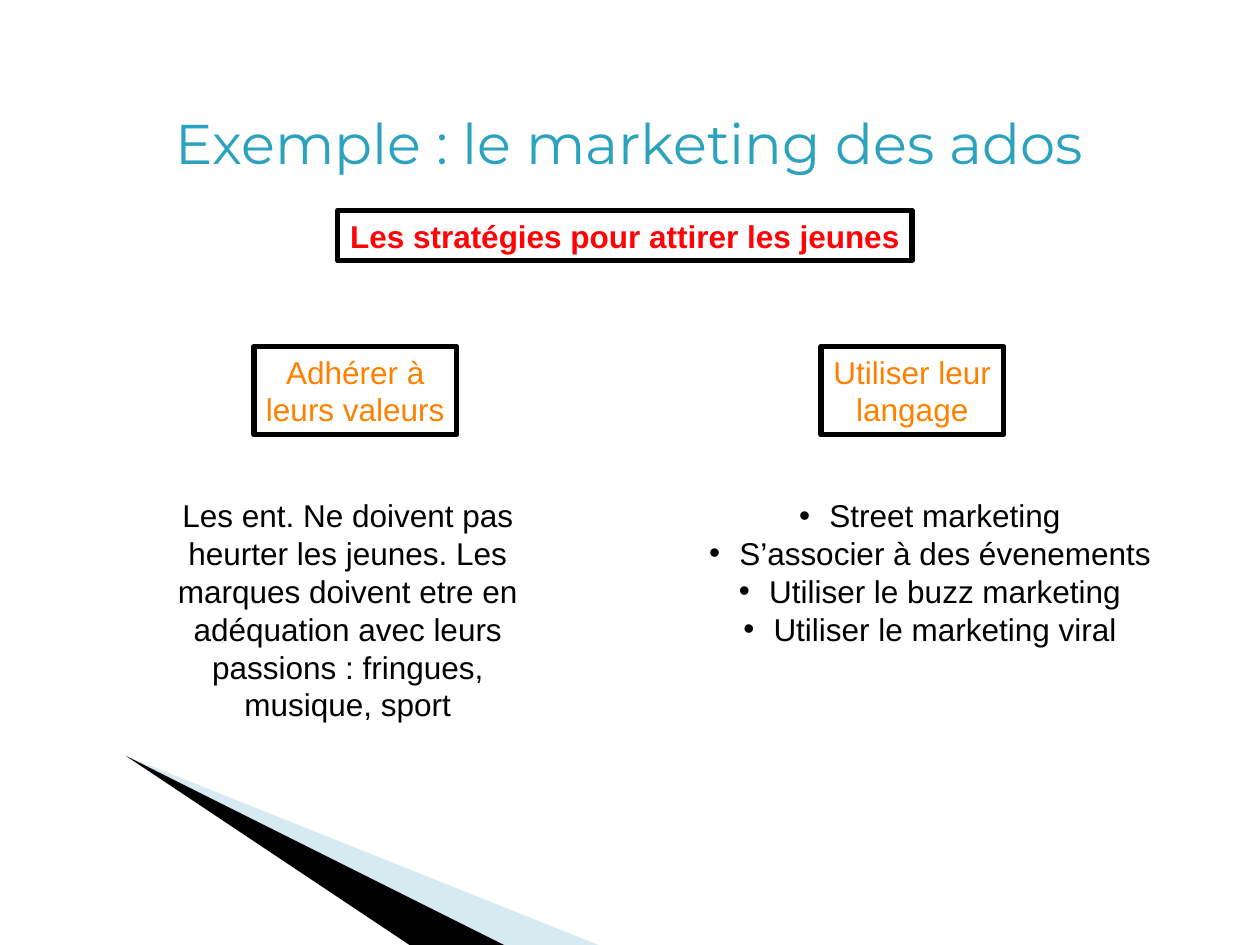
from dataclasses import dataclass

from lxml.etree import SubElement
from pptx import Presentation
from pptx.dml.color import RGBColor as RGB
from pptx.enum.shapes import MSO_SHAPE as Shape
from pptx.enum.text import MSO_ANCHOR as Anchor, PP_ALIGN as Align
from pptx.oxml.ns import qn
from pptx.util import Inches, Pt


@dataclass(frozen=True)
class Theme:
    title_font: str = "Montserrat"
    body_font: str = "Arial"
    title_size: int = 32
    body_size: int = 18
    border: int = 3
    teal: str = "2DA2BF"
    red: str = "FF0306"
    orange: str = "FF8000"
    black: str = "000000"
    pale: str = "9FCBDC"
    pale_alpha: int = 40


THEME = Theme()
WIDTH, HEIGHT = 10, 7.5

# Content
TITLE = "Exemple : le marketing des ados"
STRATEGY = ["Les stratégies pour attirer les jeunes"]
BRANCHES = [
    dict(heading=["Adhérer à", "leurs valeurs"], heading_center=2.82, heading_width=1.61,
         detail=["Les ent. Ne doivent pas heurter les jeunes. Les marques doivent "
                 "etre en adéquation avec leurs passions : fringues, musique, sport"],
         detail_center=2.76, detail_width=3.14, detail_lines=6, bulleted=False),
    dict(heading=["Utiliser leur", "langage"], heading_center=7.24, heading_width=1.45,
         detail=["Street marketing", "S’associer à des évenements",
                 "Utiliser le buzz marketing", "Utiliser le marketing viral"],
         detail_center=7.38, detail_width=4.25, detail_lines=4, bulleted=True),
]
# Corner wedges: shared tip, then where each meets the bottom edge
WEDGE_TIP = (0.53, 6.49)
WEDGES = [(4.52, 5.9, THEME.pale, THEME.pale_alpha), (3.67, 4.52, THEME.black, 100)]

# Rows
STRATEGY_TOP, HEADING_TOP, DETAIL_TOP = 1.67, 2.75, 3.89
LINE_HEIGHT, PADDING, BULLET_INDENT = 0.3, 0.1, 0.24


def add_wedge(slide, left, right, color, alpha):
    builder = slide.shapes.build_freeform(*WEDGE_TIP, scale=Inches(1))
    builder.add_line_segments([(right, HEIGHT), (left, HEIGHT)], close=True)
    wedge = builder.convert_to_shape()
    wedge.shadow.inherit = False
    wedge.line.fill.background()
    wedge.fill.solid()
    wedge.fill.fore_color.rgb = RGB.from_string(color)
    if alpha < 100:
        tint = wedge.fill._xPr.find(qn("a:solidFill"))[0]
        SubElement(tint, qn("a:alpha"), val=str(alpha * 1000))


def add_bullet(paragraph):
    props = paragraph._p.get_or_add_pPr()
    props.set("marL", str(Inches(BULLET_INDENT)))
    props.set("indent", str(-Inches(BULLET_INDENT)))
    SubElement(props, qn("a:buFont"), typeface=THEME.body_font)
    SubElement(props, qn("a:buChar"), char="•")


def write(frame, lines, color, font=THEME.body_font, size=THEME.body_size,
          bold=False, bulleted=False, anchor=Anchor.TOP, wrap=True):
    frame.word_wrap = wrap
    frame.vertical_anchor = anchor
    for i, line in enumerate(lines):
        paragraph = frame.paragraphs[0] if i == 0 else frame.add_paragraph()
        paragraph.text = line
        paragraph.alignment = Align.CENTER
        if bulleted:
            add_bullet(paragraph)
        paragraph.font.name, paragraph.font.size = font, Pt(size)
        paragraph.font.bold = bold
        paragraph.font.color.rgb = RGB.from_string(color)


def centered(center, top, width, lines):
    """Left, top, width and height of a block holding a number of lines."""
    return [Inches(v) for v in (center - width / 2, top, width, lines * LINE_HEIGHT + PADDING)]


def add_framed(slide, center, top, width, lines, color, bold=False):
    box = slide.shapes.add_shape(Shape.RECTANGLE, *centered(center, top, width, len(lines)))
    box.shadow.inherit = False
    box.fill.background()
    box.line.color.rgb = RGB.from_string(THEME.black)
    box.line.width = Pt(THEME.border)
    write(box.text_frame, lines, color, bold=bold, wrap=False)


def main():
    deck = Presentation()
    deck.slide_width, deck.slide_height = Inches(WIDTH), Inches(HEIGHT)
    slide = deck.slides.add_slide(deck.slide_layouts[6])

    # Corner decoration
    for wedge in WEDGES:
        add_wedge(slide, *wedge)

    # Title and main strategy
    title = slide.shapes.add_textbox(Inches(0.5), Inches(0.5), Inches(WIDTH - 1), Inches(1.25))
    write(title.text_frame, [TITLE], THEME.teal, THEME.title_font, THEME.title_size,
          anchor=Anchor.MIDDLE)
    add_framed(slide, 4.96, STRATEGY_TOP, 4.56, STRATEGY, THEME.red, bold=True)

    # Two branches, each a heading over its detail
    for branch in BRANCHES:
        add_framed(slide, branch["heading_center"], HEADING_TOP, branch["heading_width"],
                   branch["heading"], THEME.orange)
        detail = slide.shapes.add_textbox(*centered(
            branch["detail_center"], DETAIL_TOP, branch["detail_width"], branch["detail_lines"]))
        write(detail.text_frame, branch["detail"], THEME.black, bulleted=branch["bulleted"])

    deck.save("out.pptx")


if __name__ == "__main__":
    main()
